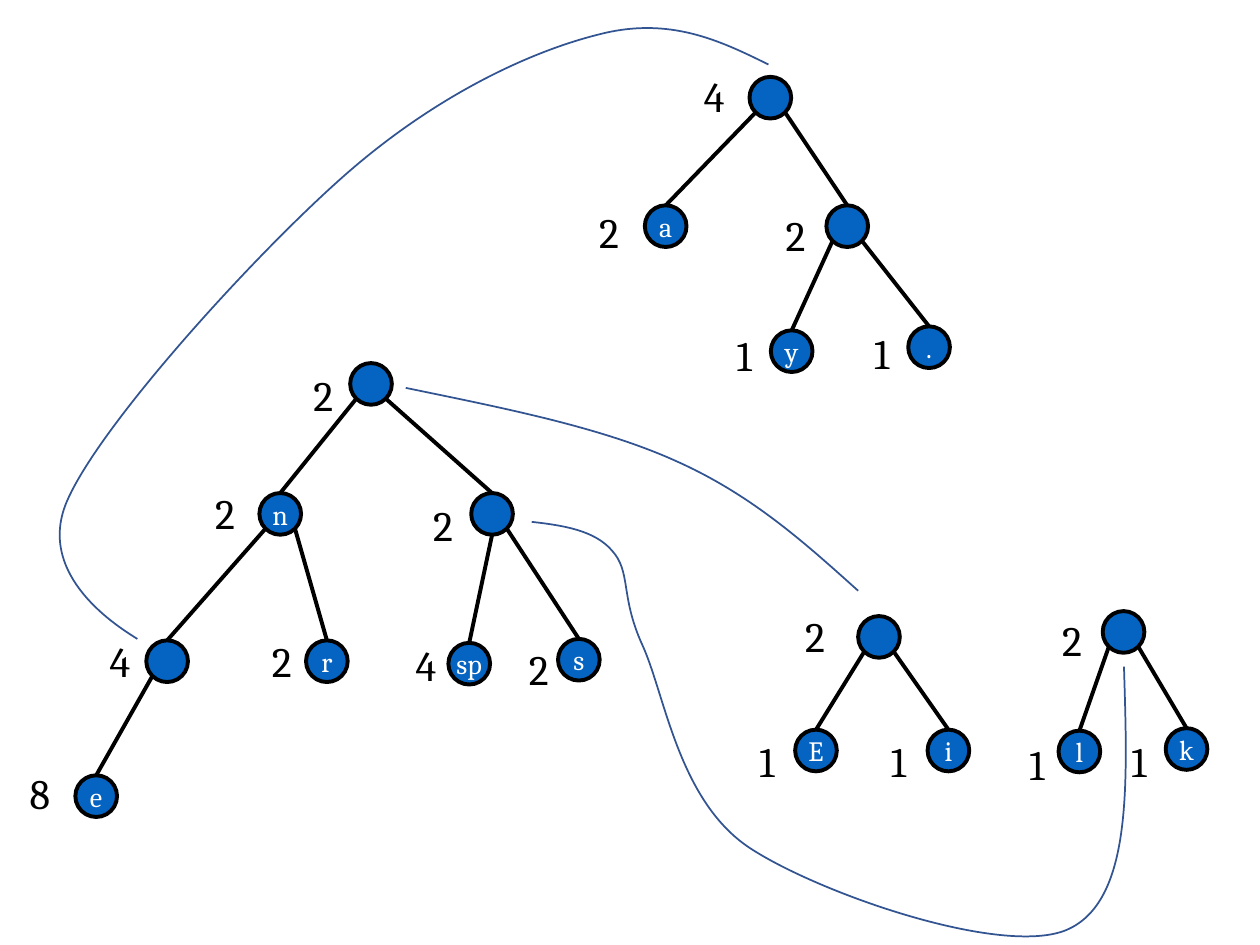
import pptx
import pptx.dml.color
import pptx.enum.shapes
import pptx.enum.text
import pptx.oxml.ns
import pptx.util
from lxml import etree
from pptx.util import Cm

BLUE = pptx.dml.color.RGBColor(0x05, 0x63, 0xC1)
CURVE_BLUE = pptx.dml.color.RGBColor(0x32, 0x54, 0x91)
BLACK = pptx.dml.color.RGBColor(0, 0, 0)
WHITE = pptx.dml.color.RGBColor(0xFF, 0xFF, 0xFF)
FONT = "Cambria"
DIAMETER = 0.84
LABEL_WIDTH, LABEL_HEIGHT = 0.99, 1.28

# Root position, then nodes by name: parent, offset from the root,
# letter, count, offset of the count from its node (all in cm).
TREES = [
    ((15.11, 1.55), {
        "root": (None, 0, 0, "", "4", -1.17, -0.25),
        "a": ("root", -2.11, 2.59, "a", "2", -1.17, -0.1),
        "right": ("root", 1.55, 2.59, "", "2", -1.07, -0.05),
        "y": ("right", 0.43, 5.11, "y", "1", -0.94, -0.15),
        "dot": ("right", 3.2, 5.03, ".", "1", -0.94, -0.1),
    }),
    ((7.06, 7.32), {
        "root": (None, 0, 0, "", "2", -0.99, 0),
        "n": ("root", -1.83, 2.62, "n", "2", -1.14, -0.23),
        "right": ("root", 2.44, 2.62, "", "2", -1.02, 0),
        "left": ("n", -4.11, 5.59, "", "4", -0.99, -0.23),
        "r": ("n", -0.89, 5.59, "r", "2", -0.94, -0.23),
        "sp": ("right", 1.98, 5.64, "sp", "4", -0.91, -0.2),
        "s": ("right", 4.19, 5.56, "s", "2", -0.84, -0.03),
        "e": ("left", -5.54, 8.31, "e", "8", -1.17, -0.28),
    }),
    ((17.3, 12.42), {
        "root": (None, 0, 0, "", "2", -1.32, -0.23),
        "E": ("root", -1.27, 2.29, "E", "1", -0.97, 0),
        "i": ("root", 1.4, 2.29, "i", "1", -0.99, 0),
    }),
    ((22.23, 12.32), {
        "root": (None, 0, 0, "", "2", -1.07, -0.05),
        "l": ("root", -0.89, 2.41, "l", "1", -0.84, 0.03),
        "k": ("root", 1.27, 2.36, "k", "1", -0.94, 0.03),
    }),
]

# Start point, then two control points and an end point for each segment.
CURVES = [
    [(15.49, 1.3), (14.5, 0.81), (13.49, 0.33), (12.09, 0.69),
     (10.67, 1.04), (8.79, 1.93), (7.01, 3.48),
     (5.21, 5.05), (2.08, 8.48), (1.37, 10.06),
     (0.66, 11.61), (2.44, 12.67), (2.77, 12.88)],
    [(22.66, 13.44), (22.73, 15.77), (22.83, 18.11), (21.56, 18.72),
     (20.32, 19.33), (16.54, 18.03), (15.11, 17.09),
     (13.67, 16.13), (13.41, 14), (12.95, 13),
     (12.5, 12.01), (12.73, 11.53), (12.34, 11.1),
     (11.99, 10.69), (11.35, 10.59), (10.72, 10.52)],
    [(17.3, 11.91), (16.23, 10.95), (15.16, 9.98), (13.64, 9.3),
     (12.12, 8.61), (10.16, 8.23), (8.18, 7.82)],
]


def write_text(shape, text, size, color, alignment):
    """Put one formatted line of text into a shape."""
    frame = shape.text_frame
    frame.text = text
    frame.word_wrap = False
    para = frame.paragraphs[0]
    para.alignment = alignment
    for span in para.runs:
        span.font.name = FONT
        span.font.size = pptx.util.Pt(size)
        span.font.color.rgb = color


def set_line(shape, color, width):
    """Give a shape or connector a plain line."""
    shape.line.color.rgb = color
    shape.line.width = pptx.util.Pt(width)


def add_node(page, left, top, letter):
    """Draw one round tree node and return it."""
    node = page.shapes.add_shape(pptx.enum.shapes.MSO_SHAPE.OVAL,
                                 Cm(left), Cm(top), Cm(DIAMETER), Cm(DIAMETER))
    node.shadow.inherit = False
    node.fill.solid()
    node.fill.fore_color.rgb = BLUE
    set_line(node, BLACK, 2.25)
    if letter:
        write_text(node, letter, 16, WHITE, pptx.enum.text.PP_ALIGN.CENTER)
        node.text_frame.vertical_anchor = pptx.enum.text.MSO_ANCHOR.MIDDLE
    return node


def add_count(page, left, top, count):
    """Write the count that stands beside a node."""
    box = page.shapes.add_textbox(Cm(left), Cm(top), Cm(LABEL_WIDTH), Cm(LABEL_HEIGHT))
    write_text(box, count, 24, BLACK, pptx.enum.text.PP_ALIGN.LEFT)
    box.text_frame.auto_size = pptx.enum.text.MSO_AUTO_SIZE.SHAPE_TO_FIT_TEXT


def add_edge(page, child, parent):
    """Join the top of a child to the lower rim of its parent."""
    radius = parent.width / 2
    shift = child.left - parent.left
    if abs(shift) < Cm(0.5):
        across, down = 0, radius
    else:
        down = radius * 0.5 ** 0.5
        across = down if shift > 0 else -down
    edge = page.shapes.add_connector(
        pptx.enum.shapes.MSO_CONNECTOR.STRAIGHT,
        int(child.left + radius), child.top,
        int(parent.left + radius + across), int(parent.top + radius + down))
    edge.begin_connect(child, 0)
    set_line(edge, BLACK, 2.25)
    etree.SubElement(edge._element.spPr, pptx.oxml.ns.qn("a:effectLst"))


def add_tree(page, left, top, nodes):
    """Draw a tree whose root node has the given left and top."""
    drawn = {}
    for name, (parent, x, y, letter, count, count_x, count_y) in nodes.items():
        drawn[name] = add_node(page, left + x, top + y, letter)
        add_count(page, left + x + count_x, top + y + count_y, count)
        if parent:
            add_edge(page, drawn[name], drawn[parent])


def bezier_point(points, t):
    """Return the point at t on a cubic curve."""
    weights = ((1 - t) ** 3, 3 * t * (1 - t) ** 2, 3 * t * t * (1 - t), t ** 3)
    return tuple(int(sum(w * p[axis] for w, p in zip(weights, points)))
                 for axis in (0, 1))


def add_curve(page, points):
    """Draw an open outline of cubic segments, boxed by its true extent."""
    points = [(Cm(x), Cm(y)) for x, y in points]
    starts = range(0, len(points) - 1, 3)
    samples = [bezier_point(points[i:i + 4], step / 20)
               for i in starts for step in range(1, 21)]
    builder = page.shapes.build_freeform(*points[0])
    builder.add_line_segments(samples, close=False)
    curve = builder.convert_to_shape()
    outline = curve._element.xpath(".//a:path")[0]
    for segment in list(outline)[1:]:
        outline.remove(segment)
    for i in starts:
        segment = etree.SubElement(outline, pptx.oxml.ns.qn("a:cubicBezTo"))
        for x, y in points[i + 1:i + 4]:
            etree.SubElement(segment, pptx.oxml.ns.qn("a:pt"),
                             x=str(x - curve.left), y=str(y - curve.top))
    curve.shadow.inherit = False
    curve.fill.background()
    set_line(curve, CURVE_BLUE, 1)


def build_forest(page):
    """Place the trees and the curves that link them."""
    for (left, top), nodes in TREES:
        add_tree(page, left, top, nodes)
    for points in CURVES:
        add_curve(page, points)


deck = pptx.Presentation()
deck.slide_width, deck.slide_height = Cm(25.4), Cm(19.05)
build_forest(deck.slides.add_slide(deck.slide_layouts[6]))
deck.save("out.pptx")
